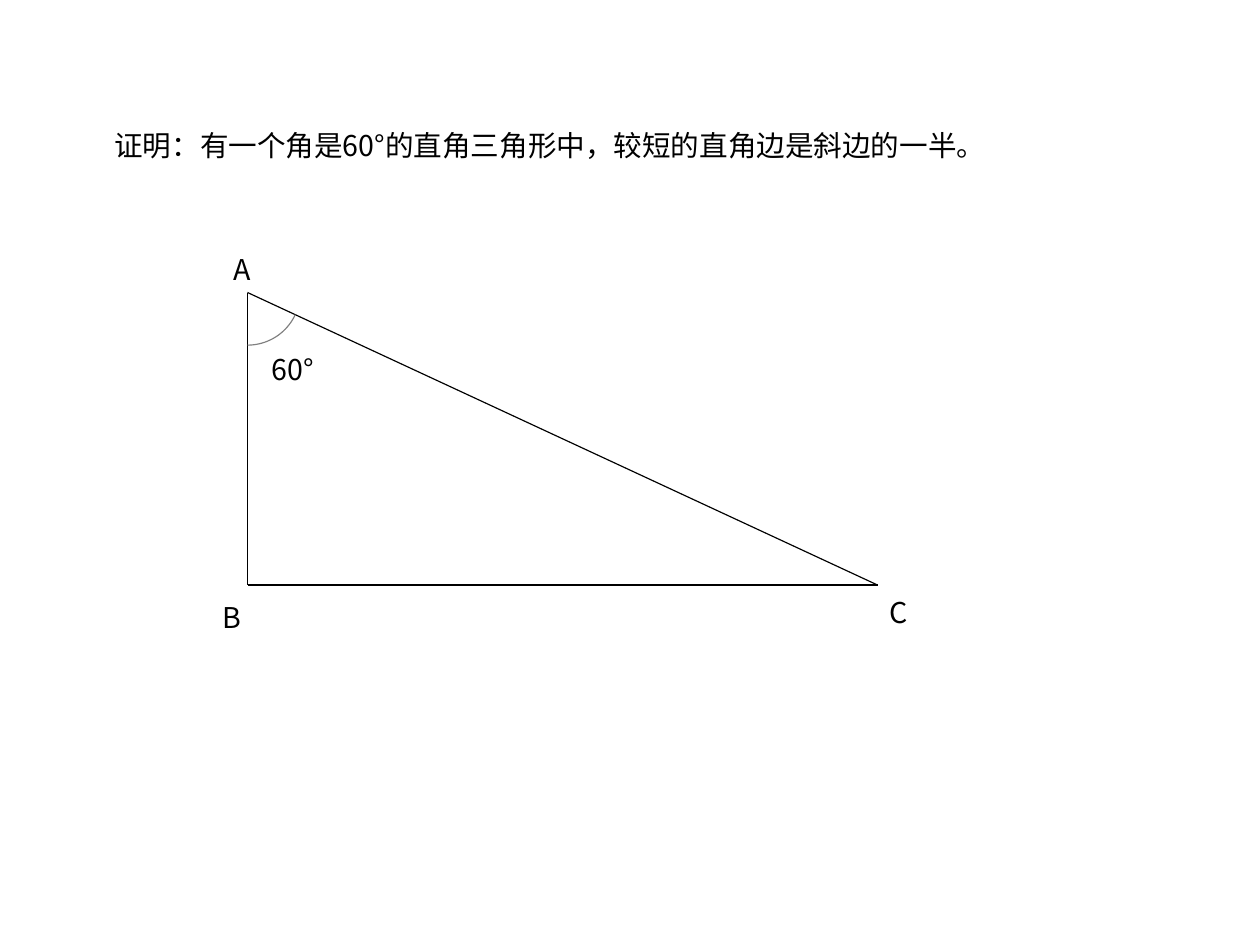
from dataclasses import dataclass
from math import atan2, cos, sin

from pptx import Presentation
from pptx.dml.color import RGBColor
from pptx.enum.shapes import MSO_CONNECTOR
from pptx.enum.text import MSO_ANCHOR, MSO_AUTO_SIZE, PP_ALIGN
from pptx.oxml.ns import qn
from pptx.util import Cm, Pt


@dataclass(frozen=True)
class Theme:
    font: str = "Noto Sans CJK SC"
    size: float = 18
    ink: RGBColor = RGBColor(0x00, 0x00, 0x00)
    arc: RGBColor = RGBColor(0x80, 0x80, 0x80)
    line_width: float = 0.75
    spacing: float = 0.93


class GeometrySlide:
    def __init__(self, prs, theme):
        self.theme = theme
        self.s = prs.slides.add_slide(prs.slide_layouts[5])

    def set_text(self, sp, text, wrap, inset_top, spacing):
        tf = sp.text_frame
        tf.auto_size = MSO_AUTO_SIZE.NONE
        tf.word_wrap = wrap
        tf.vertical_anchor = MSO_ANCHOR.TOP
        tf.margin_left = tf.margin_right = Cm(0.25)
        tf.margin_top, tf.margin_bottom = Cm(inset_top), Cm(0.13)
        p = tf.paragraphs[0]
        p.alignment = PP_ALIGN.LEFT
        p.line_spacing = spacing
        p.space_before = Pt(0)
        r = p.add_run()
        r.text = text
        r.font.name = self.theme.font
        r.font.size = Pt(self.theme.size)
        r.font.color.rgb = self.theme.ink
        latin = r._r.get_or_add_rPr().find(qn("a:latin"))
        latin.addnext(latin.makeelement(qn("a:ea"), {"typeface": self.theme.font}))

    def title(self, text, x, y, w, h):
        sp = self.s.shapes.title
        sp.left, sp.top, sp.width, sp.height = Cm(x), Cm(y), Cm(w), Cm(h)
        self.set_text(sp, text, True, 0.13, self.theme.spacing)

    def label(self, text, x, y, w=0.92, inset_top=0.18, spacing=None):
        sp = self.s.shapes.add_textbox(Cm(x), Cm(y), Cm(w), Cm(0.97))
        self.set_text(sp, text, False, inset_top, spacing or self.theme.spacing)

    def side(self, start, end):
        line = self.s.shapes.add_connector(
            MSO_CONNECTOR.STRAIGHT, *(Cm(v) for v in start + end))
        line.line.color.rgb = self.theme.ink
        line.line.width = Pt(self.theme.line_width)
        props = line._element.spPr
        props.append(props.makeelement(qn("a:effectLst"), {}))

    def angle_arc(self, vertex, first, last, radius, steps=20):
        """Mark the angle at vertex between the rays to first and last."""
        a, b = (atan2(q[1] - vertex[1], q[0] - vertex[0]) for q in (first, last))
        angles = [a + (b - a) * i / steps for i in range(steps + 1)]
        points = [(Cm(vertex[0] + radius * cos(t)), Cm(vertex[1] + radius * sin(t)))
                  for t in angles]
        builder = self.s.shapes.build_freeform(*points[0])
        builder.add_line_segments(points[1:], close=False)
        sp = builder.convert_to_shape()
        sp.shadow.inherit = False
        sp.fill.background()
        sp.line.color.rgb = self.theme.arc
        sp.line.width = Pt(self.theme.line_width)


def main():
    prs = Presentation()
    prs.slide_width, prs.slide_height = Cm(28), Cm(21)
    slide = GeometrySlide(prs, Theme())
    slide.title("证明：有一个角是60°的直角三角形中，较短的直角边是斜边的一半。",
                2.29, 2.79, 22, 0.97)

    a, b, c = (5.5, 6.5), (5.5, 13), (19.5, 13)
    for start, end in ((c, b), (a, b), (a, c)):
        slide.side(start, end)
    for name, x, y in (("A", 4.93, 5.49), ("B", 4.7, 13.21), ("C", 19.51, 13.11)):
        slide.label(name, x, y)

    slide.angle_arc(a, b, c, radius=1.17)
    slide.label("60°", 5.79, 7.62, w=1.45, inset_top=0.13, spacing=1.09)
    prs.save("out.pptx")


if __name__ == "__main__":
    main()
